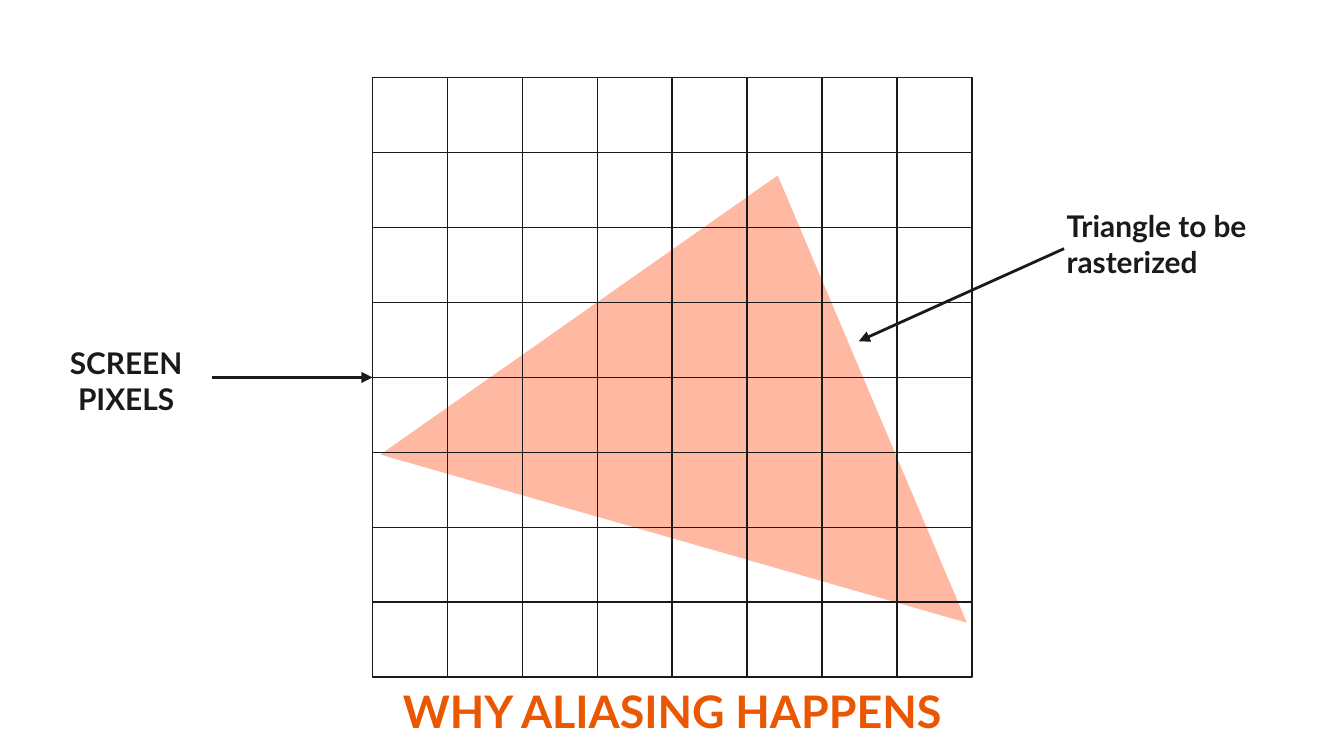
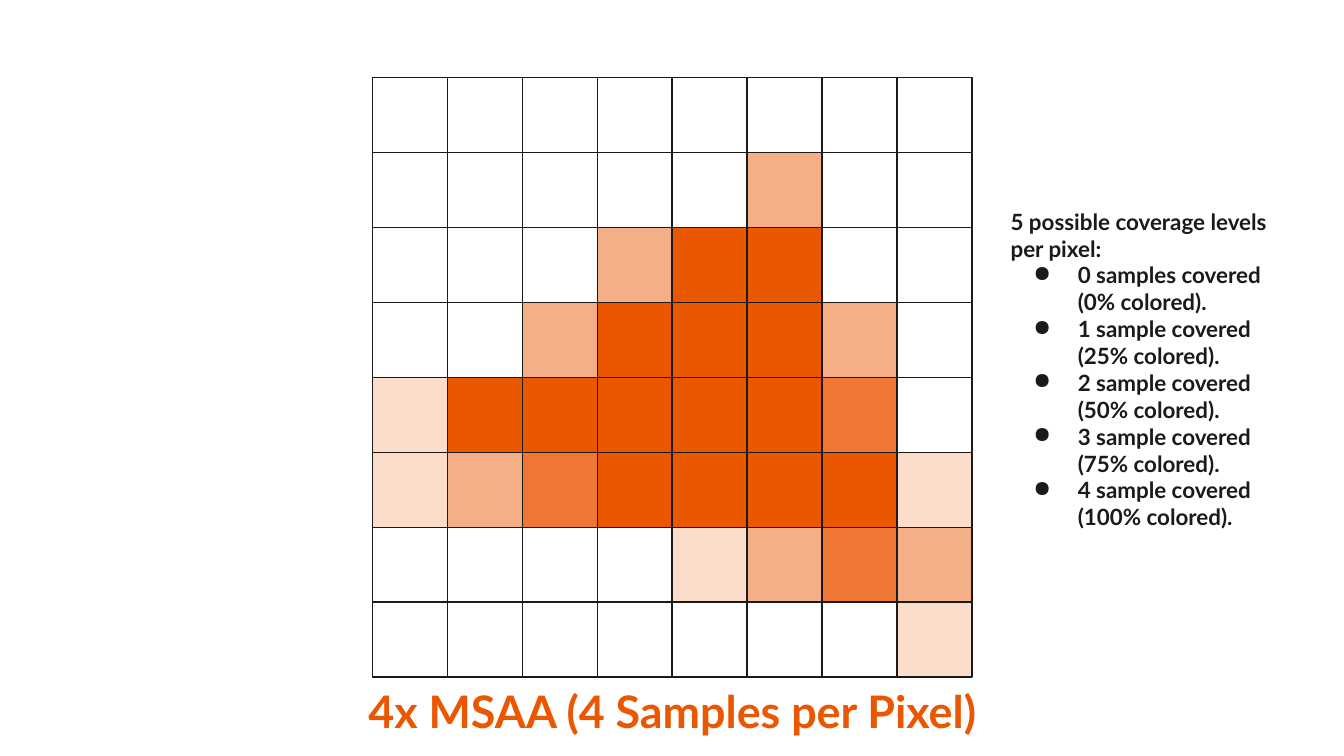
from dataclasses import dataclass
from typing import NamedTuple

from lxml import etree
from pptx import Presentation
from pptx.dml.color import RGBColor
from pptx.enum.shapes import MSO_CONNECTOR, MSO_SHAPE
from pptx.enum.text import MSO_ANCHOR, PP_ALIGN
from pptx.oxml.ns import qn
from pptx.util import Cm, Pt

STRAIGHT = MSO_CONNECTOR.STRAIGHT
RECTANGLE, TRIANGLE = MSO_SHAPE.RECTANGLE, MSO_SHAPE.ISOSCELES_TRIANGLE
TOP, MIDDLE = MSO_ANCHOR.TOP, MSO_ANCHOR.MIDDLE
LEFT, CENTER = PP_ALIGN.LEFT, PP_ALIGN.CENTER
RIGHT_SIDE = 3


@dataclass(frozen=True)
class Theme:
    font: str = "Lato"
    ink: str = "1A1A1A"
    accent: str = "EB5600"
    triangle: str = "FFB8A2"
    caption_size: int = 24
    label_size: int = 16
    level_size: int = 12
    grid_line: float = 0.75
    arrow_line: float = 1.5
    text_inset: float = 0.25


class Box(NamedTuple):
    """An area in centimetres."""
    left: float
    top: float
    width: float
    height: float

    def lengths(self):
        return [Cm(value) for value in self]


THEME = Theme()
SLIDE_WIDTH, SLIDE_HEIGHT = 25.4, 14.29
GRID_COUNT = 8
GRID = Box(7.04, 1.47, 11.33, 11.33)

# Opacity in percent for each number of covered samples
OPACITY = {1: 20, 2: 47, 3: 80, 4: 100}
# Covered samples of each pixel, row by row
COVERAGE = [
    "00000000",
    "00000200",
    "00024400",
    "00244420",
    "14444430",
    "12344441",
    "00001232",
    "00000001",
]
NO_COVERAGE = ["0" * GRID_COUNT] * GRID_COUNT
LEVELS = [
    "0 samples covered (0% colored).",
    "1 sample covered (25% colored).",
    "2 sample covered (50% colored).",
    "3 sample covered (75% colored).",
    "4 sample covered (100% colored).",
]


def rgb(color):
    return RGBColor.from_string(color)


def add_bullet(para):
    props = para._p.get_or_add_pPr()
    props.set("marL", str(Cm(1.27)))
    props.set("indent", str(Cm(-0.84)))
    color = etree.SubElement(props, qn("a:buClr"))
    etree.SubElement(color, qn("a:srgbClr"), val=THEME.ink)
    etree.SubElement(props, qn("a:buChar"), char="●")


def add_text(page, box, lines, size, color=THEME.ink, align=LEFT, anchor=TOP):
    """Add bold text; every line after the first is a bullet."""
    area = page.shapes.add_textbox(*box.lengths())
    frame = area.text_frame
    frame.word_wrap = True
    frame.vertical_anchor = anchor
    frame.margin_left = frame.margin_right = Cm(THEME.text_inset)
    frame.margin_top = frame.margin_bottom = Cm(THEME.text_inset)
    for index, line in enumerate(lines):
        para = frame.add_paragraph() if index else frame.paragraphs[0]
        para.alignment = align
        if index:
            add_bullet(para)
        span = para.add_run()
        span.text = line
        span.font.name = THEME.font
        span.font.size = Pt(size)
        span.font.bold = True
        span.font.color.rgb = rgb(color)
    return area


def add_arrow(page, start, end):
    points = [Cm(value) for value in (*start, *end)]
    arrow = page.shapes.add_connector(STRAIGHT, *points)
    arrow.line.color.rgb = rgb(THEME.ink)
    arrow.line.width = Pt(THEME.arrow_line)
    outline = arrow._element.spPr.find(qn("a:ln"))
    etree.SubElement(outline, qn("a:tailEnd"), type="triangle")
    etree.SubElement(arrow._element.spPr, qn("a:effectLst"))
    return arrow


def fill_shape(shape, color, opacity=100):
    shape.fill.solid()
    shape.fill.fore_color.rgb = rgb(color)
    if opacity < 100:
        tint = shape._element.spPr.find(f"{qn('a:solidFill')}/{qn('a:srgbClr')}")
        etree.SubElement(tint, qn("a:alpha"), val=str(opacity * 1000))


def add_pixel_grid(shapes, box, coverage):
    width, height = box.width / GRID_COUNT, box.height / GRID_COUNT
    for row, samples in enumerate(coverage):
        for column, covered in enumerate(samples):
            place = Box(box.left + column * width, box.top + row * height, width, height)
            pixel = shapes.add_shape(RECTANGLE, *place.lengths())
            pixel.shadow.inherit = False
            pixel.line.color.rgb = rgb(THEME.ink)
            pixel.line.width = Pt(THEME.grid_line)
            if int(covered):
                fill_shape(pixel, THEME.accent, OPACITY[int(covered)])
            else:
                pixel.fill.background()


def add_triangle(page, box):
    place = Box(box.left + 0.91, box.top + 1.71, 11.53, 7.14)
    triangle = page.shapes.add_shape(TRIANGLE, *place.lengths())
    triangle.rotation = 16
    triangle.shadow.inherit = False
    triangle.line.fill.background()
    fill_shape(triangle, THEME.triangle)


def add_caption(page, box, text, width):
    """Centre the slide's caption directly below the grid."""
    place = Box(box.left + (box.width - width) / 2, box.top + box.height, width, 1.27)
    add_text(page, place, [text], THEME.caption_size, THEME.accent, CENTER, MIDDLE)


def add_screen_callout(page, box, grid):
    label = add_text(page, box, ["SCREEN PIXELS"], THEME.label_size, align=CENTER)
    middle = box.top + box.height / 2
    arrow = add_arrow(page, (box.left + box.width, middle), (grid.left, middle))
    arrow.begin_connect(label, RIGHT_SIDE)


def add_triangle_callout(page, box):
    add_text(page, box, ["Triangle to be rasterized"], THEME.label_size)
    add_arrow(page, (box.left + 0.2, box.top + 1.02), (box.left - 3.68, box.top + 2.77))


def build_aliasing_slide(page, grid):
    add_triangle(page, grid)
    add_pixel_grid(page.shapes.add_group_shape().shapes, grid, NO_COVERAGE)
    add_screen_callout(page, Box(0.76, 6.27, 3.25, 1.73), grid)
    add_caption(page, grid, "WHY ALIASING HAPPENS", 13.97)
    add_triangle_callout(page, Box(19.91, 3.68, 4.78, 1.75))


def build_msaa_slide(page, grid):
    add_pixel_grid(page.shapes, grid, COVERAGE)
    add_caption(page, grid, "4x MSAA (4 Samples per Pixel)", 13.06)
    # Coverage levels beside the grid
    lines = ["5 possible coverage levels per pixel:", *LEVELS]
    add_text(page, Box(18.85, 3.68, 5.84, 7.85), lines, THEME.level_size)


def main():
    deck = Presentation()
    deck.slide_width, deck.slide_height = Cm(SLIDE_WIDTH), Cm(SLIDE_HEIGHT)
    blank = deck.slide_layouts[6]
    for build in (build_aliasing_slide, build_msaa_slide):
        build(deck.slides.add_slide(blank), GRID)
    deck.save("out.pptx")


if __name__ == "__main__":
    main()
